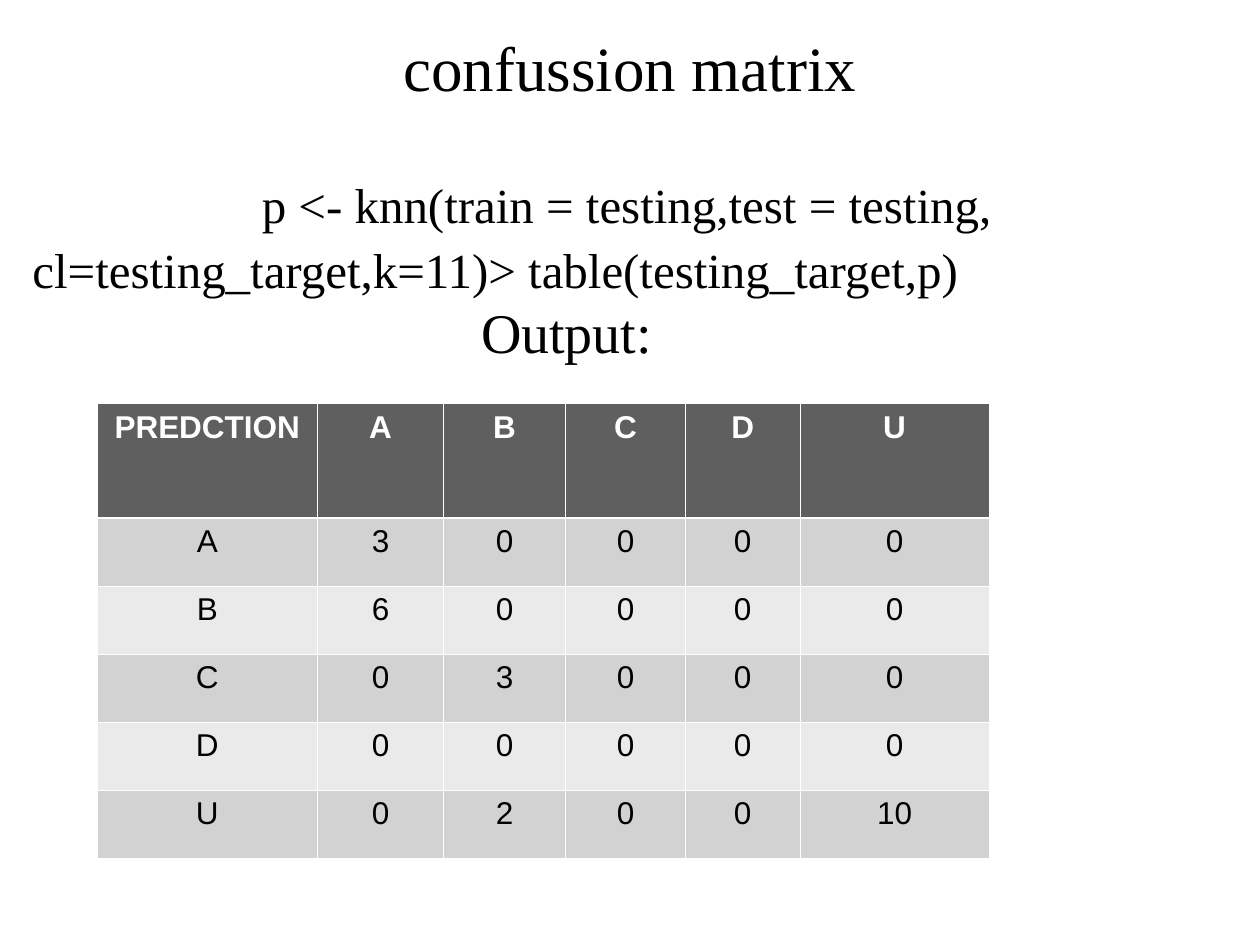
from lxml import etree
from pptx import Presentation
from pptx.dml.color import RGBColor
from pptx.enum import text
from pptx.oxml import ns
from pptx.util import Inches, Pt

COLORS = {"ink": "000000", "paper": "FFFFFF", "header": "5F5F5F",
          "dark_band": "D2D2D2", "light_band": "EAEAEA"}
SERIF, SANS = "Times New Roman", "Arial"

TITLE = "confussion matrix"
# wording, size, left indent in inches
CODE_LINES = [
    ("p <- knn(train = testing,test = testing,", 28, 1.82),
    ("cl=testing_target,k=11)> table(testing_target,p)", 28, 0),
    ("Output:", 32, 3.56),
]
CLASSES = ["A", "B", "C", "D", "U"]
COUNTS = [
    [3, 0, 0, 0, 0],
    [6, 0, 0, 0, 0],
    [0, 3, 0, 0, 0],
    [0, 0, 0, 0, 0],
    [0, 2, 0, 0, 10],
]
COLUMN_WIDTHS = [1.75, 1, 0.97, 0.95, 0.91, 1.5]
HEADER_HEIGHT, ROW_HEIGHT = 0.91, 0.54
THIN, THICK = 0.45, 1.47


def color(name):
    return RGBColor.from_string(COLORS[name])


def style(para, face, size, ink="ink", bold=False):
    para.font.name, para.font.size, para.font.bold = face, Pt(size), bold
    para.font.color.rgb = color(ink)


def add_box(page, left, top, width, height):
    box = page.shapes.add_textbox(*map(Inches, (left, top, width, height)))
    box.text_frame.word_wrap = True
    return box.text_frame


def set_borders(cell, top, bottom):
    props = cell._tc.get_or_add_tcPr()
    sides = {"lnL": THIN, "lnR": THIN, "lnT": top, "lnB": bottom}
    for index, (side, width) in enumerate(sides.items()):
        line = etree.Element(ns.qn(f"a:{side}"), w=str(Pt(width)))
        fill = etree.SubElement(line, ns.qn("a:solidFill"))
        etree.SubElement(fill, ns.qn("a:srgbClr"), val=COLORS["paper"])
        props.insert(index, line)


def add_title(page):
    frame = add_box(page, 0.5, 0.21, 9, 0.64)
    frame.vertical_anchor = text.MSO_ANCHOR.MIDDLE
    para = frame.paragraphs[0]
    para.text, para.alignment = TITLE, text.PP_ALIGN.CENTER
    style(para, SERIF, 36)


def add_code(page):
    frame = add_box(page, 0.16, 1.28, 9.7, 5.95)
    for index, (wording, size, indent) in enumerate(CODE_LINES):
        para = frame.add_paragraph() if index else frame.paragraphs[0]
        para.text = wording
        para.line_spacing = Pt(37.5)
        para._p.get_or_add_pPr().set("marL", str(Inches(indent)))
        style(para, SERIF, size)


def add_matrix(page):
    rows = [["PREDCTION", *CLASSES]]
    rows += [[name, *counts] for name, counts in zip(CLASSES, COUNTS)]
    heights = [HEADER_HEIGHT] + [ROW_HEIGHT] * len(COUNTS)
    table = page.shapes.add_table(
        len(rows), len(COLUMN_WIDTHS), Inches(0.77), Inches(3.2),
        Inches(sum(COLUMN_WIDTHS)), Inches(sum(heights))).table
    for column, width in zip(table.columns, COLUMN_WIDTHS):
        column.width = Inches(width)
    for r, (values, height) in enumerate(zip(rows, heights)):
        table.rows[r].height = Inches(height)
        header = r == 0
        band = "header" if header else "dark_band" if r % 2 else "light_band"
        for c, value in enumerate(values):
            cell = table.cell(r, c)
            cell.text = str(value)
            cell.fill.solid()
            cell.fill.fore_color.rgb = color(band)
            para = cell.text_frame.paragraphs[0]
            para.alignment = text.PP_ALIGN.CENTER
            style(para, SANS, 18, "paper" if header else "ink", header)
            set_borders(cell, THICK if r == 1 else THIN, THICK if header else THIN)


def main():
    deck = Presentation()
    deck.slide_width, deck.slide_height = Inches(10), Inches(7.5)
    page = deck.slides.add_slide(deck.slide_layouts[6])
    add_title(page)
    add_code(page)
    add_matrix(page)
    deck.save("out.pptx")


if __name__ == "__main__":
    main()
